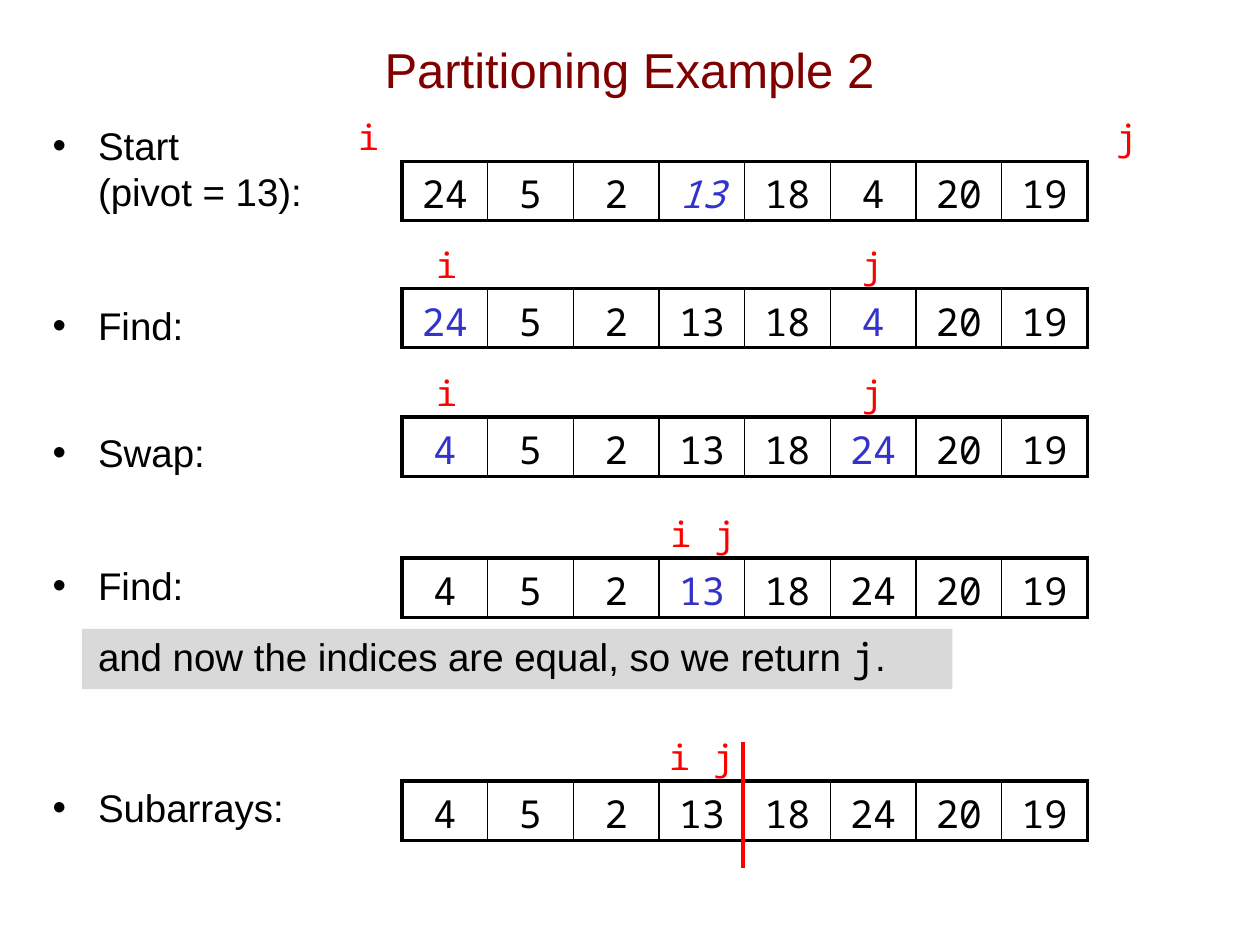
from lxml.etree import SubElement as Sub
from pptx import Presentation
from pptx.dml.color import RGBColor as Rgb
from pptx.enum.shapes import MSO_CONNECTOR as Conn, MSO_SHAPE as Geo
from pptx.enum.text import MSO_ANCHOR as Anchor, PP_ALIGN as Align
from pptx.oxml.ns import qn
from pptx.util import Inches, Pt

THEME = {
    "sans": "Arial", "mono": "Noto Sans Mono",
    "title": 28, "text": 22, "mark": 20,
    "ink": "000000", "head": "800000", "red": "FF0000",
    "blue": "3333CC", "band": "D9D9D9",
}
TITLE = "Partitioning Example 2"
STEPS = [
    (24, True, ["Start\v(pivot = 13):"]),
    (50, True, ["Find:"]),
    (46, True, ["Swap:"]),
    (50, True, ["Find:"]),
    (14, False, ["and now the indices are equal, so we return ", "j", "."]),
    (60, True, ["Subarrays:"]),
]
FIRST = [24, 5, 2, 13, 18, 4, 20, 19]
AFTER = [4, 5, 2, 13, 18, 24, 20, 19]
ROWS = [
    {"top": 1.28, "nums": FIRST, "blue": [3], "slant": True, "pad": 0.05, "marks": (2.74, 8.76)},
    {"top": 2.29, "nums": FIRST, "blue": [0, 5], "pad": 0.05, "marks": (3.36, 6.74)},
    {"top": 3.31, "nums": AFTER, "blue": [0, 5], "pad": 0, "marks": (3.36, 6.74)},
    {"top": 4.43, "nums": AFTER, "blue": [3], "pad": 0, "marks": (5.22, 5.57)},
    {"top": 6.2, "nums": AFTER, "blue": [], "pad": 0.05, "marks": (5.21, 5.56)},
]
LEFT, CELL, HIGH, LIFT = 3.19, 0.68, 0.47, 0.41
THICK, THIN = 2.25, 1


def style(run, face, size, tint, slant=False):
    font = run.font
    font.name, font.size = THEME[face], Pt(THEME[size])
    font.color.rgb = Rgb.from_string(THEME[tint])
    font.italic = slant


def edge(cell, side, width):
    line = Sub(cell._tc.get_or_add_tcPr(), qn("a:" + side), w=str(Pt(width)))
    fill = Sub(line, qn("a:solidFill"))
    Sub(fill, qn("a:srgbClr"), val=THEME["ink"])


def add_row(slide, row):
    nums = row["nums"]
    last = len(nums) - 1
    table = slide.shapes.add_table(
        1, len(nums), Inches(LEFT), Inches(row["top"]),
        Inches(CELL * len(nums)), Inches(HIGH)).table
    table.first_row = table.horz_banding = False
    for k, num in enumerate(nums):
        cell = table.cell(0, k)
        table.columns[k].width = Inches(CELL)
        cell.margin_bottom = Inches(row["pad"])
        cell.text_frame.text = str(num)
        para = cell.text_frame.paragraphs[0]
        para.alignment = Align.CENTER
        hot = k in row["blue"]
        style(para.runs[0], "mono", "text", "blue" if hot else "ink",
              hot and row.get("slant", False))
        edge(cell, "lnL", THICK if k == 0 else THIN)
        edge(cell, "lnR", THICK if k == last else THIN)
        edge(cell, "lnT", THICK)
        edge(cell, "lnB", THICK)
        cell.fill.background()


def add_mark(slide, name, left, top):
    box = slide.shapes.add_textbox(Inches(left), Inches(top), Inches(0.37), Inches(0.43))
    box.text_frame.word_wrap = False
    box.text_frame.text = name
    para = box.text_frame.paragraphs[0]
    para.alignment = Align.CENTER
    style(para.runs[0], "mono", "mark", "red")


def add_steps(slide):
    box = slide.shapes.add_textbox(Inches(0.32), Inches(0.92), Inches(9.54), Inches(6.14))
    frame = box.text_frame
    frame.word_wrap = True
    for k, (gap, dot, parts) in enumerate(STEPS):
        para = frame.paragraphs[0] if k == 0 else frame.add_paragraph()
        para.text = parts[0]
        for part in parts[1:]:
            para.add_run().text = part
        for run in para.runs:
            style(run, "mono" if run.text == "j" else "sans", "text", "ink")
        para.space_before = Pt(gap)
        props = para._p.get_or_add_pPr()
        props.set("marL", str(Inches(0.36)))
        props.set("indent", str(Inches(-0.36 if dot else 0)))
        if dot:
            Sub(props, qn("a:buFont"), typeface=THEME["sans"])
            Sub(props, qn("a:buChar"), char="•")
        else:
            Sub(props, qn("a:buNone"))


def main():
    deck = Presentation()
    deck.slide_width, deck.slide_height = Inches(10), Inches(7.5)
    slide = deck.slides.add_slide(deck.slide_layouts[5])

    band = slide.shapes.add_shape(
        Geo.RECTANGLE, Inches(0.65), Inches(4.99), Inches(6.91), Inches(0.48))
    band.shadow.inherit = False
    band.fill.solid()
    band.fill.fore_color.rgb = Rgb.from_string(THEME["band"])
    band.line.fill.background()

    title = slide.shapes.title
    title.left, title.top = Inches(0.75), Inches(0.08)
    title.width, title.height = Inches(8.49), Inches(0.93)
    title.text_frame.text = TITLE
    title.text_frame.vertical_anchor = Anchor.MIDDLE
    para = title.text_frame.paragraphs[0]
    para.alignment = Align.CENTER
    style(para.runs[0], "sans", "title", "head")

    add_steps(slide)
    for row in ROWS:
        add_row(slide, row)
        for name, left in zip("ij", row["marks"]):
            add_mark(slide, name, left, row["top"] - LIFT)

    split = slide.shapes.add_connector(
        Conn.STRAIGHT, Inches(5.9), Inches(6.89), Inches(5.9), Inches(5.89))
    split.line.color.rgb = Rgb.from_string(THEME["red"])
    split.line.width = Pt(THICK)
    Sub(split._element.spPr, qn("a:effectLst"))

    deck.save("out.pptx")


if __name__ == "__main__":
    main()
